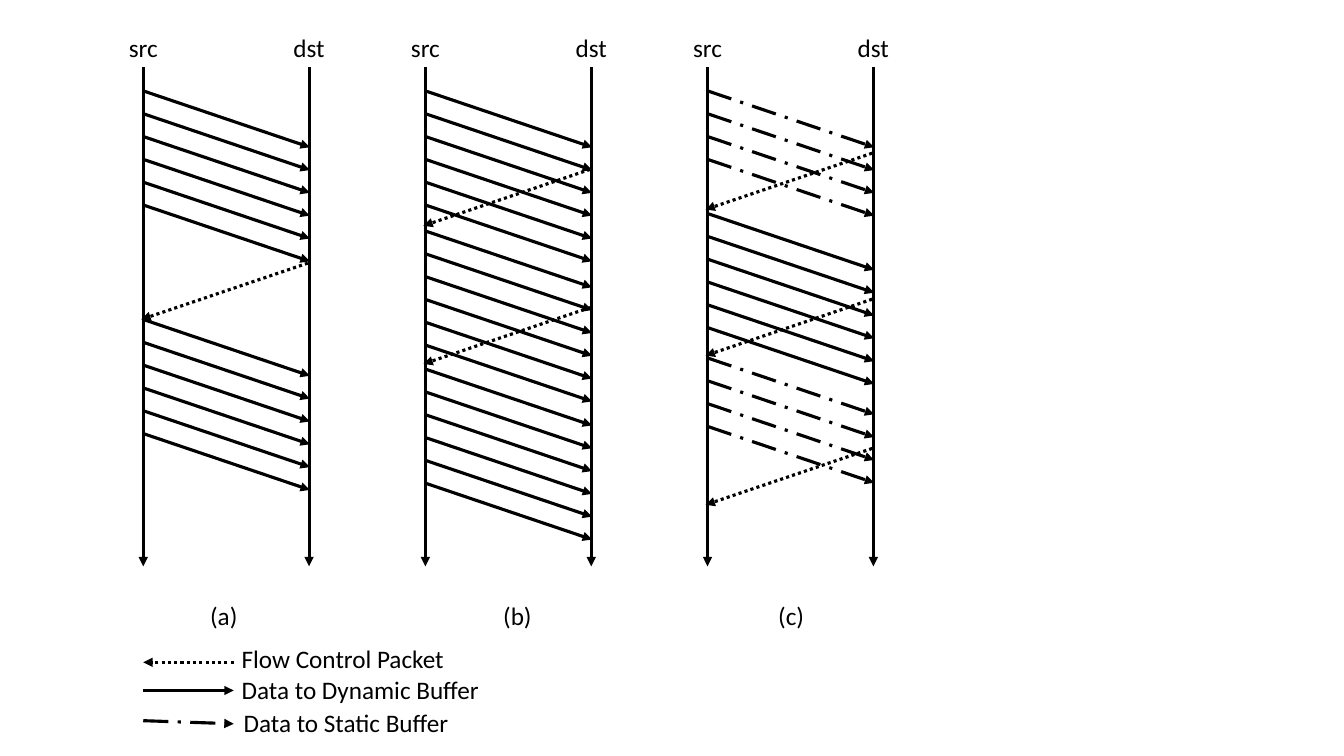
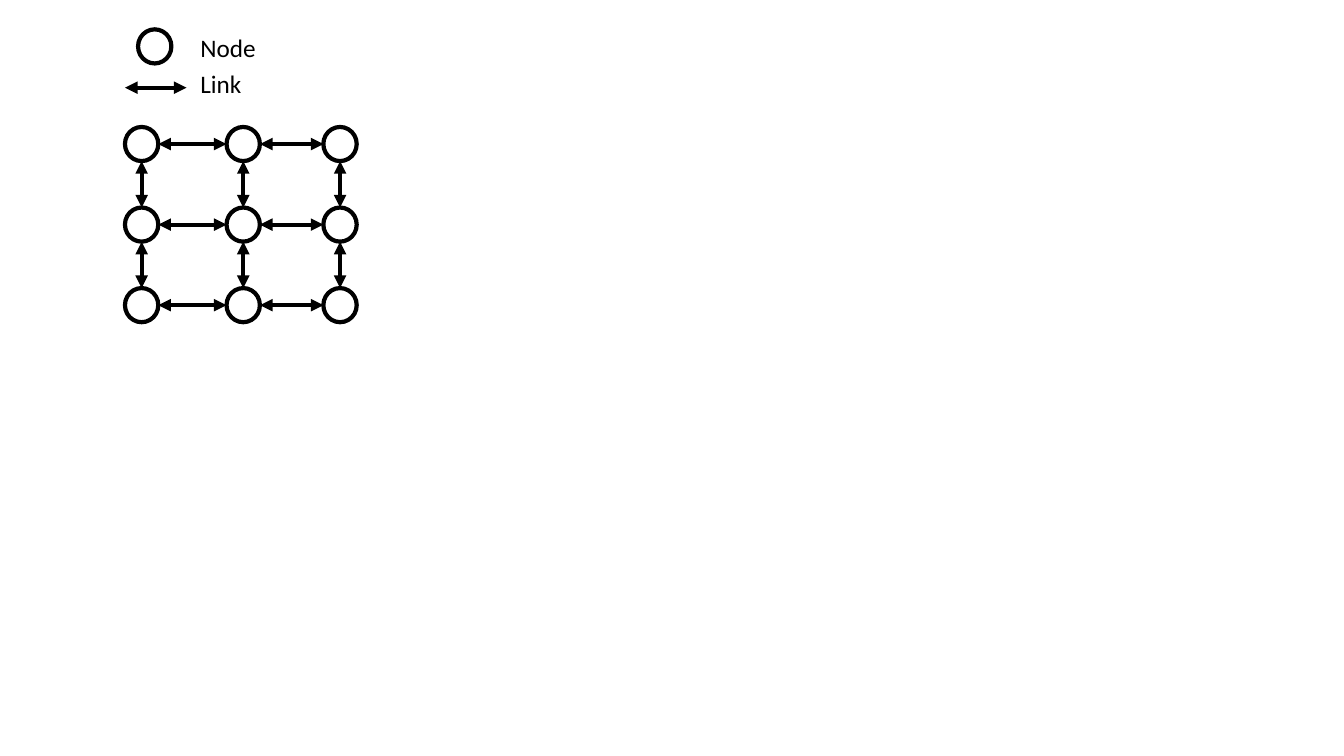
from dataclasses import dataclass

from lxml import etree
from pptx import Presentation
from pptx.dml.color import RGBColor
from pptx.enum.dml import MSO_LINE
from pptx.enum.shapes import MSO_CONNECTOR, MSO_SHAPE
from pptx.enum.text import MSO_AUTO_SIZE, PP_ALIGN
from pptx.oxml.ns import qn
from pptx.util import Cm, Pt

STRAIGHT = MSO_CONNECTOR.STRAIGHT
OVAL = MSO_SHAPE.OVAL
DOTTED, DASH_DOT = MSO_LINE.ROUND_DOT, MSO_LINE.LONG_DASH_DOT
FIT = MSO_AUTO_SIZE.SHAPE_TO_FIT_TEXT
LEFT, CENTER = PP_ALIGN.LEFT, PP_ALIGN.CENTER


@dataclass(frozen=True)
class Theme:
    ink: RGBColor = RGBColor(0, 0, 0)
    paper: RGBColor = RGBColor(255, 255, 255)
    font: str = "Calibri"
    text: Pt = Pt(18)
    thin: Pt = Pt(2.25)
    thick: Pt = Pt(3)


THEME = Theme()


def add_arrow(s, x1, y1, x2, y2, dash=None, width=THEME.thin, both=False):
    """Arrow between two points in centimetres."""
    c = s.shapes.add_connector(STRAIGHT, Cm(x1), Cm(y1), Cm(x2), Cm(y2))
    c.line.color.rgb = THEME.ink
    c.line.width = width
    if dash is not None:
        c.line.dash_style = dash
    sp_pr = c._element.spPr
    ln = sp_pr.find(qn("a:ln"))
    for end in ("a:headEnd", "a:tailEnd") if both else ("a:tailEnd",):
        etree.SubElement(ln, qn(end), type="triangle")
    etree.SubElement(sp_pr, qn("a:effectLst"))


def add_label(s, text, x, y, w, align=LEFT):
    """One-line label with its top left corner in centimetres."""
    tf = s.shapes.add_textbox(Cm(x), Cm(y), Cm(w), Cm(1.03)).text_frame
    tf.word_wrap = False
    tf.auto_size = FIT
    p = tf.paragraphs[0]
    p.alignment = align
    r = p.add_run()
    r.text = text
    for name, value in {"name": THEME.font, "size": THEME.text}.items():
        setattr(r.font, name, value)
    r.font.color.rgb = THEME.ink


prs = Presentation()
prs.slide_width, prs.slide_height = Cm(33.87), Cm(19.05)
blank = prs.slide_layouts[6]

# Slide 1: three message sequence charts
s = prs.slides.add_slide(blank)
FIRST_X, PANEL_PITCH, LANE = 3.61, 7.11, 4.18
AXIS_TOP, AXIS_BOTTOM = 1.7, 14.27
DROP, MESSAGE_GAP = 1.42, 0.575

# Bursts: (first start, number of messages, dash); controls: start heights
panels = [
    ("(a)", 5.64, [(2.29, 6, None), (8.05, 6, None)], [6.63]),
    ("(b)", 13.04, [(2.29, 6, None), (5.82, 6, None), (9.3, 6, None)],
     [4.27, 7.75]),
    ("(c)", 19.94, [(2.29, 4, DASH_DOT), (5.38, 6, None), (9.02, 4, DASH_DOT)],
     [3.86, 7.54, 11.3]),
]
for i, (caption, caption_x, bursts, controls) in enumerate(panels):
    src = FIRST_X + i * PANEL_PITCH
    dst = src + LANE
    for name, x in (("src", src), ("dst", dst)):
        add_arrow(s, x, AXIS_TOP, x, AXIS_BOTTOM)
        add_label(s, name, x - 0.65, 0.69, 1.3, CENTER)
    for start, count, dash in bursts:
        for n in range(count):
            y = start + n * MESSAGE_GAP
            add_arrow(s, src, y, dst + 0.02, y + DROP, dash)
    for y in controls:
        add_arrow(s, dst - 0.03, y, src - 0.05, y + DROP, DOTTED)
    add_label(s, caption, caption_x - 0.62, 15.01, 1.24, CENTER)

# Legend
KEY_LEFT, KEY_RIGHT = 3.61, 5.89
add_arrow(s, KEY_RIGHT, 16.69, KEY_LEFT, 16.69, DOTTED)
add_arrow(s, KEY_LEFT, 17.4, KEY_RIGHT, 17.4)
add_arrow(s, KEY_LEFT, 18.16, KEY_RIGHT, 18.24, DASH_DOT)
for text, x, y, w in (
    ("Flow Control Packet", 5.84, 16.08, 5.66),
    ("Data to Dynamic Buffer", 5.84, 16.87, 6.58),
    ("Data to Static Buffer", 5.89, 17.7, 5.74),
):
    add_label(s, text, x, y, w)

# Slide 2: mesh of nodes and links
s = prs.slides.add_slide(blank)
NODE_W, NODE_H = 0.84, 0.86
cols = [3.15, 5.71, 8.15]
rows = [3.2, 5.23, 7.26]

# Nodes, the legend's one first
for x, y in [(3.48, 0.74)] + [(x, y) for y in rows for x in cols]:
    sp = s.shapes.add_shape(OVAL, Cm(x), Cm(y), Cm(NODE_W), Cm(NODE_H))
    sp.shadow.inherit = False
    sp.fill.solid()
    sp.fill.fore_color.rgb = THEME.paper
    sp.line.color.rgb = THEME.ink
    sp.line.width = THEME.thick

# Links, the legend's one first
links = [(3.15, 2.21, 4.7, 2.21)]
for y in rows:
    mid = y + NODE_H / 2
    links += [(a + NODE_W, mid, b, mid) for a, b in zip(cols, cols[1:])]
for x in cols:
    mid = x + NODE_W / 2
    links += [(mid, a + NODE_H, mid, b) for a, b in zip(rows, rows[1:])]
for link in links:
    add_arrow(s, *link, width=THEME.thick, both=True)

# Legend text
add_label(s, "Node", 4.8, 0.69, 1.93)
add_label(s, "Link", 4.8, 1.6, 1.55)

prs.save("out.pptx")
